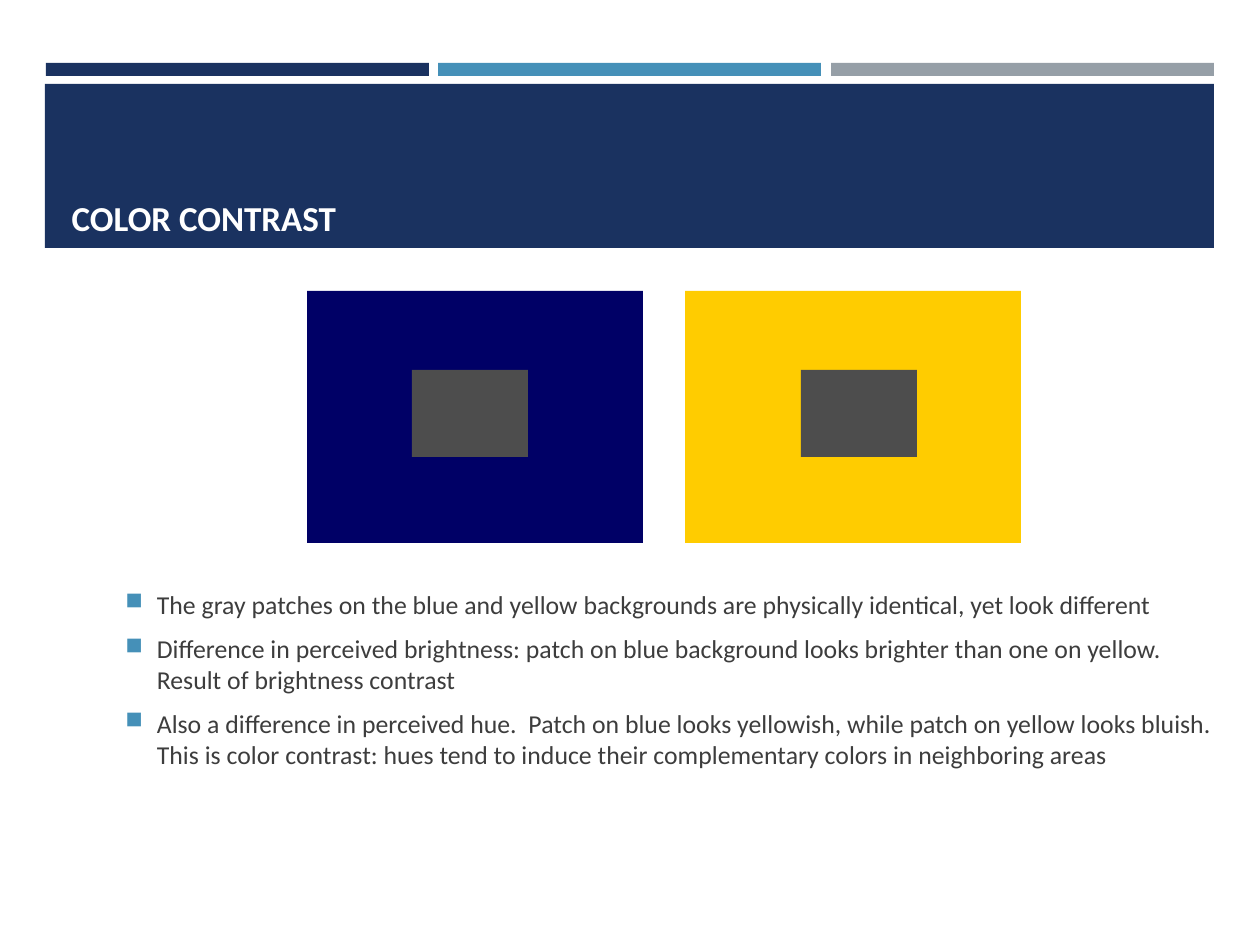
from lxml import etree
from pptx import Presentation
from pptx.dml.color import RGBColor
from pptx.enum.shapes import MSO_SHAPE
from pptx.enum.text import MSO_ANCHOR, MSO_AUTO_SIZE, PP_ALIGN
from pptx.oxml.ns import qn
from pptx.util import Inches, Pt

RECT = MSO_SHAPE.RECTANGLE
TOP, BOTTOM = MSO_ANCHOR.TOP, MSO_ANCHOR.BOTTOM
LEFT = PP_ALIGN.LEFT
FIXED = MSO_AUTO_SIZE.NONE

NAVY = RGBColor(0x1A, 0x32, 0x60)
STEEL = RGBColor(0x45, 0x90, 0xB8)
SILVER = RGBColor(0x96, 0x9F, 0xA7)
BLUE = RGBColor(0x00, 0x00, 0x66)
YELLOW = RGBColor(0xFF, 0xCC, 0x00)
GRAY = RGBColor(0x4D, 0x4D, 0x4D)
INK = RGBColor(0x3D, 0x3D, 0x3D)
WHITE = RGBColor(0xFF, 0xFF, 0xFF)

POINTS = [
    "The gray patches on the blue and yellow backgrounds are physically "
    "identical, yet look different",
    "Difference in perceived brightness: patch on blue background looks "
    "brighter than one on yellow.  Result of brightness contrast",
    "Also a difference in perceived hue.  Patch on blue looks yellowish, "
    "while patch on yellow looks bluish.  This is color contrast: hues tend "
    "to induce their complementary colors in neighboring areas",
]


def px(n):
    return round(n * 914400 / 126)


class Deck:
    font = "Calibri"

    def __init__(self, slide):
        self.slide = slide

    def rect(self, home, x, y, w, h, color):
        box = home.add_shape(RECT, px(x), px(y), px(w), px(h))
        box.shadow.inherit = False
        box.fill.solid()
        box.fill.fore_color.rgb = color
        box.line.fill.background()

    def run(self, para, text, size, color, bold=False):
        run = para.add_run()
        run.text = text
        font = run.font
        font.name, font.size, font.bold = self.font, Pt(size), bold
        font.color.rgb = color

    def frame(self, shape, anchor):
        frame = shape.text_frame
        frame.word_wrap = True
        frame.auto_size = FIXED
        frame.vertical_anchor = anchor
        return frame

    def title(self, text, x, y, w, h):
        shape = self.slide.shapes.title
        shape.left, shape.top = px(x), px(y)
        shape.width, shape.height = px(w), px(h)
        # Bring the title in front of its band
        shape.element.getparent().append(shape.element)
        para = self.frame(shape, BOTTOM).paragraphs[0]
        para.alignment = LEFT
        self.run(para, text, 20, WHITE, True)

    def bullet(self, para):
        props = para._p.get_or_add_pPr()
        props.set("marL", str(Inches(0.25)))
        props.set("indent", str(-Inches(0.25)))
        tint = etree.SubElement(props, qn("a:buClr"))
        etree.SubElement(tint, qn("a:srgbClr"), val=str(STEEL))
        etree.SubElement(props, qn("a:buSzPct"), val="92000")
        etree.SubElement(props, qn("a:buChar"), char="■")

    def points(self, items, x, y, w, h):
        box = self.slide.shapes.add_textbox(px(x), px(y), px(w), px(h))
        frame = self.frame(box, TOP)
        frame.margin_top = 0
        for i, text in enumerate(items):
            para = frame.add_paragraph() if i else frame.paragraphs[0]
            self.bullet(para)
            para.space_before = Pt(3 if i else 0)
            para.space_after = Pt(4.5)
            self.run(para, text, 14.7, INK)


def main():
    prs = Presentation()
    prs.slide_width, prs.slide_height = Inches(10), Inches(7.5)
    slide = prs.slides.add_slide(prs.slide_layouts[5])
    deck = Deck(slide)

    # Header bars and title band
    for i, color in enumerate((NAVY, STEEL, SILVER)):
        deck.rect(slide.shapes, 46 + 785 * i // 2, 63, 383, 13, color)
    deck.rect(slide.shapes, 45, 84, 1169, 164, NAVY)
    deck.title("COLOR CONTRAST", 59, 202, 1063, 43)

    # Same gray patch on two backgrounds
    for x, inner, color in ((307, 412, BLUE), (685, 801, YELLOW)):
        group = slide.shapes.add_group_shape().shapes
        deck.rect(group, x, 291, 336, 252, color)
        deck.rect(group, inner, 370, 116, 87, GRAY)

    # Explanation
    deck.points(POINTS, 113, 589, 1137, 197)

    prs.save("out.pptx")


if __name__ == "__main__":
    main()
